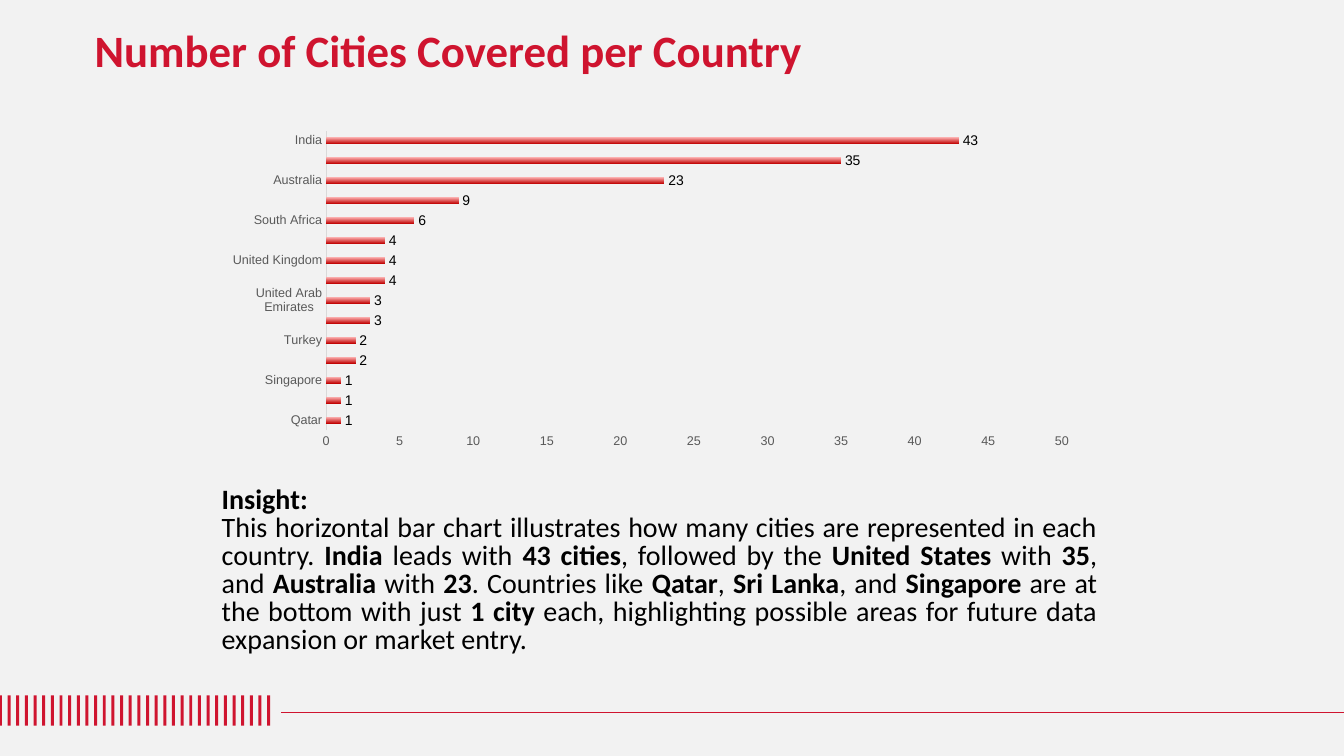
from pptx import Presentation
from pptx.chart.data import CategoryChartData
from pptx.dml.color import RGBColor
from pptx.enum.chart import XL_CHART_TYPE as CHART, XL_LABEL_POSITION as LABEL, XL_TICK_MARK as TICK
from pptx.enum.shapes import MSO_CONNECTOR as CONNECTOR, MSO_SHAPE as SHAPE
from pptx.enum.text import MSO_AUTO_SIZE as AUTO_SIZE, PP_ALIGN as ALIGN
from pptx.oxml import parse_xml
from pptx.oxml.ns import nsdecls
from pptx.util import Inches, Pt

RED = "CF142F"
BLACK = "000000"
GREY = "595959"
STRIPES = 32
CITIES = {
    "Qatar": 1, "Sri Lanka": 1, "Singapore": 1, "New Zealand": 2, "Turkey": 2,
    "Brazil": 3, "United Arab Emirates": 3, "Indonesia": 4, "United Kingdom": 4,
    "Canada": 4, "South Africa": 6, "Philippines": 9, "Australia": 23,
    "United States of America": 35, "India": 43,
}
INSIGHT = [
    "**Insight:**",
    "This horizontal bar chart illustrates how many cities are represented in each country. "
    "**India** leads with **43 cities**, followed by the **United States** with **35**, "
    "and **Australia** with **23**. Countries like **Qatar**, **Sri Lanka**, and "
    "**Singapore** are at the bottom with just **1 city** each, highlighting possible "
    "areas for future data expansion or market entry.",
]


def rgb(value):
    """Return the colour for a hex string."""
    return RGBColor.from_string(value)


def style_font(font, name, size, color, bold=False):
    """Set the face, size, colour and weight of a font."""
    font.name, font.size, font.bold = name, Pt(size), bold
    font.color.rgb = rgb(color)


def add_text(s, box, paragraphs, size, color, spacing, align):
    """Add a text box whose **marked** parts are bold."""
    tf = s.shapes.add_textbox(*map(Inches, box)).text_frame
    tf.word_wrap = True
    tf.auto_size = AUTO_SIZE.SHAPE_TO_FIT_TEXT
    for i, text in enumerate(paragraphs):
        p = tf.add_paragraph() if i else tf.paragraphs[0]
        p.alignment, p.line_spacing = align, spacing
        for j, part in enumerate(text.split("**")):
            if part:
                r = p.add_run()
                r.text = part
                style_font(r.font, "Calibri", size, color, bold=j % 2 == 1)


def add_footer(s):
    """Add the row of stripes and the rule beside it."""
    pitch = 2.66 / (STRIPES - 1)
    for i in range(STRIPES):
        sp = s.shapes.add_shape(SHAPE.RECTANGLE, Inches(-0.01 + i * pitch), Inches(6.9),
                                Inches(0.03), Inches(0.3))
        sp.shadow.inherit = False
        sp.fill.solid()
        sp.fill.fore_color.rgb = rgb(RED)
        sp.line.fill.background()
    rule = s.shapes.add_connector(CONNECTOR.STRAIGHT, Inches(2.79), Inches(7.07),
                                  Inches(13.33), Inches(7.07))
    rule.line.color.rgb = rgb(RED)
    rule.line.width = Pt(0.75)
    rule._element.spPr.append(parse_xml(f"<a:effectLst {nsdecls('a')}/>"))


def style_axis(axis):
    """Give an axis small grey labels and no ticks or gridlines."""
    axis.has_major_gridlines = False
    axis.major_tick_mark = axis.minor_tick_mark = TICK.NONE
    style_font(axis.tick_labels.font, "Arial", 9, GREY)


def add_city_chart(s):
    """Add the bar chart of cities per country."""
    data = CategoryChartData()
    data.categories = list(CITIES)
    data.add_series("Series 1", list(CITIES.values()))
    chart = s.shapes.add_chart(CHART.BAR_CLUSTERED, Inches(2.31), Inches(1.23),
                               Inches(8.46), Inches(3.29), data).chart
    chart.has_title = chart.has_legend = False
    style_font(chart.font, "Arial", 10, BLACK)

    countries, counts = chart.category_axis, chart.value_axis
    style_axis(countries)
    style_axis(counts)
    countries.format.line.color.rgb = rgb("D9D9D9")
    countries.format.line.width = Pt(0.75)
    counts.format.line.fill.background()
    counts.minimum_scale, counts.maximum_scale, counts.major_unit = 0, 50, 5

    plot = chart.plots[0]
    plot.gap_width = 190
    plot.vary_by_categories = False
    bars = plot.series[0]
    fill = bars.format.fill
    fill.gradient()
    fill.gradient_angle = 270
    for stop, color in zip(fill.gradient_stops, ("FFBABA", "C00000")):
        stop.color.rgb = rgb(color)
    labels = bars.data_labels
    labels.show_value = True
    labels.position = LABEL.OUTSIDE_END
    style_font(labels.font, "Arial", 10, BLACK)


def main():
    """Build the slide and save it."""
    prs = Presentation()
    prs.slide_width, prs.slide_height = Inches(13.33), Inches(7.5)
    s = prs.slides.add_slide(prs.slide_layouts[6])
    s.background.fill.solid()
    s.background.fill.fore_color.rgb = rgb("F2F2F2")
    add_footer(s)
    add_city_chart(s)
    add_text(s, (2.1, 4.78, 8.88, 2.12), INSIGHT, 20, BLACK, Pt(20), ALIGN.JUSTIFY)
    add_text(s, (0.84, 0.24, 7.68, 0.76), ["**Number of Cities Covered per Country**"],
             32, RED, 0.9, ALIGN.LEFT)
    prs.save("out.pptx")


if __name__ == "__main__":
    main()
